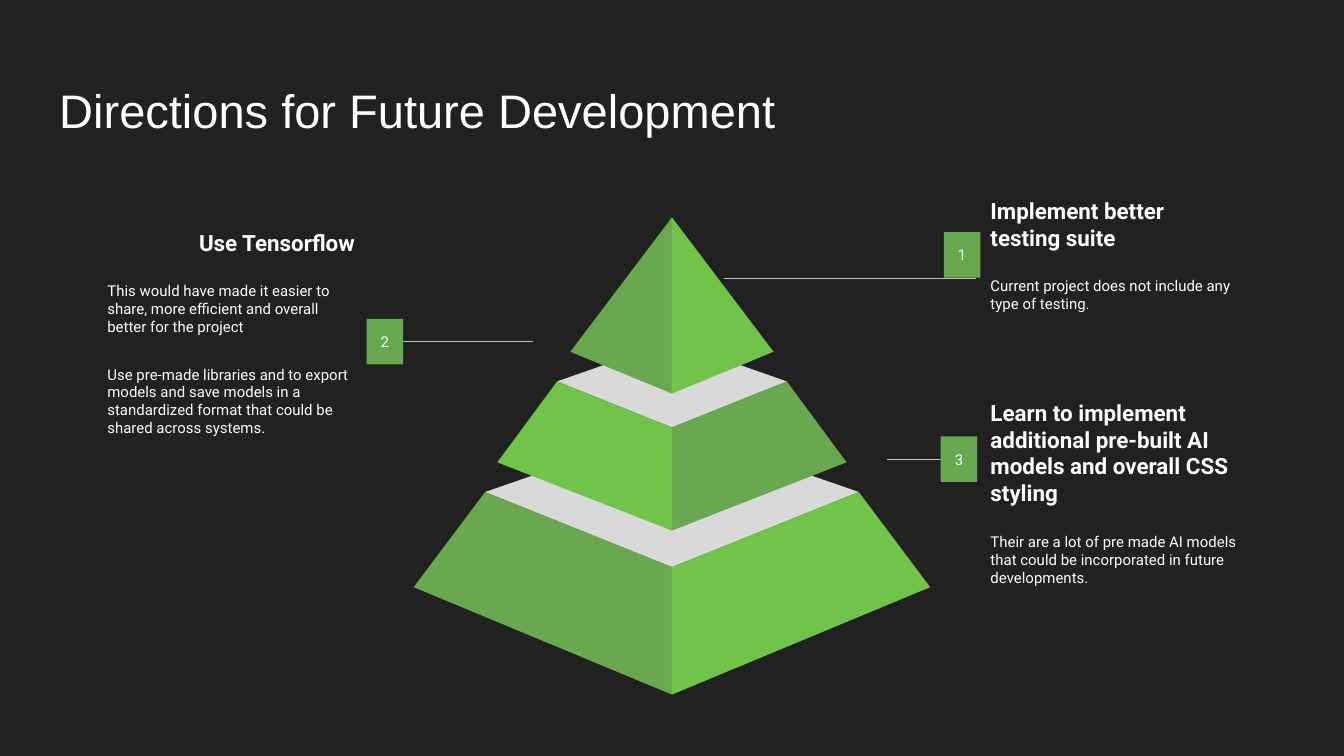
from lxml.etree import SubElement
from pptx import Presentation
from pptx.dml.color import RGBColor
from pptx.enum.shapes import MSO_CONNECTOR, MSO_SHAPE
from pptx.enum.text import MSO_ANCHOR, PP_ALIGN
from pptx.oxml.ns import qn
from pptx.util import Cm, Pt

BACKGROUND = RGBColor(0x21, 0x21, 0x21)
WHITE = RGBColor(0xFF, 0xFF, 0xFF)
LINE_GREY = RGBColor(0xC2, 0xC2, 0xC2)
LID_GREY = RGBColor(0xD9, 0xD9, 0xD9)
DARK_GREEN = RGBColor(0x6A, 0xA8, 0x4F)
LIGHT_GREEN = RGBColor(0x6F, 0xC4, 0x49)

INSET = Cm(0.25)
AXIS = 12.7  # horizontal centre of the pyramid, in cm

presentation = Presentation()
presentation.slide_width = Cm(25.4)
presentation.slide_height = Cm(14.29)
slide = presentation.slides.add_slide(presentation.slide_layouts[6])
slide.background.fill.solid()
slide.background.fill.fore_color.rgb = BACKGROUND


def write(frame, text, size=8, bold=False, font="Roboto", align=PP_ALIGN.LEFT, before=0):
    """Fill the frame's empty first paragraph, or append a new one."""
    paragraph = frame.paragraphs[0]
    if paragraph.runs:
        paragraph = frame.add_paragraph()
    paragraph.alignment = align
    paragraph.space_before = Pt(before)
    run = paragraph.add_run()
    run.text = text
    run.font.size = Pt(size)
    run.font.bold = bold
    run.font.name = font
    run.font.color.rgb = WHITE


def draw_facet(points, color):
    """Draw a closed outline; x is measured from the pyramid's axis."""
    corners = [(Cm(AXIS + x), Cm(y)) for x, y in points]
    builder = slide.shapes.build_freeform(*corners[0])
    builder.add_line_segments(corners[1:], close=True)
    facet = builder.convert_to_shape()
    facet.shadow.inherit = False
    facet.fill.solid()
    facet.fill.fore_color.rgb = color
    facet.line.fill.background()


title = slide.shapes.add_textbox(Cm(0.87), Cm(1.3), Cm(23.67), Cm(1.6)).text_frame
title.word_wrap = True
title.margin_left = title.margin_right = title.margin_top = title.margin_bottom = INSET
write(title, "Directions for Future Development", size=25.2, font="Arial")

# number, heading, heading alignment, details, text corner, badge corner,
# line start, line end, badge side the line joins, extra inset below the text
directions = [
    ("3", "Learn to implement additional pre-built AI models and overall CSS styling",
     PP_ALIGN.LEFT,
     ["Their are a lot of pre made AI models that could be incorporated in future developments."],
     (18.47, 7.39), (17.78, 8.25), (16.76, 8.68), (17.78, 8.68), 1, 0),
    ("2", "Use Tensorflow", PP_ALIGN.RIGHT,
     ["This would have made it easier to share, more efficient and overall better for the project",
      "Use pre-made libraries and to export models and save models in a standardized format "
      "that could be shared across systems."],
     (1.78, 4.55), (6.93, 6.03), (10.08, 6.46), (7.62, 6.46), 3, 0.36),
    ("1", "Implement better testing suite", PP_ALIGN.LEFT,
     ["Current project does not include any type of testing."],
     (18.47, 2.9), (17.84, 4.39), (13.69, 5.26), (18.45, 5.26), None, 0),
]
for (number, heading, heading_align, details, text_at, badge_at,
     line_start, line_end, badge_side, extra_inset) in directions:
    leader = slide.shapes.add_connector(
        MSO_CONNECTOR.STRAIGHT, *map(Cm, line_start), *map(Cm, line_end))
    leader.line.color.rgb = LINE_GREY
    leader.line.width = Pt(0.75)
    SubElement(leader._element.spPr, qn("a:effectLst"))

    description = slide.shapes.add_textbox(*map(Cm, text_at), Cm(5.18), Cm(3.84)).text_frame
    description.word_wrap = True
    description.vertical_anchor = MSO_ANCHOR.MIDDLE
    description.margin_left = description.margin_right = description.margin_top = INSET
    description.margin_bottom = INSET + Cm(extra_inset)
    write(description, heading, size=12, bold=True, align=heading_align)
    for order, detail in enumerate(details):
        write(description, detail, before=16 if order else 14)

    badge = slide.shapes.add_shape(MSO_SHAPE.RECTANGLE, *map(Cm, badge_at), Cm(0.69), Cm(0.86))
    badge.shadow.inherit = False
    badge.fill.solid()
    badge.fill.fore_color.rgb = DARK_GREEN
    badge.line.fill.background()
    digit = badge.text_frame
    digit.margin_left = digit.margin_right = digit.margin_top = digit.margin_bottom = 0
    digit.vertical_anchor = MSO_ANCHOR.MIDDLE
    write(digit, number, align=PP_ALIGN.CENTER)
    if badge_side is not None:
        leader.end_connect(badge, badge_side)

# Tiers from bottom to top: rim half-width and height, front rim height,
# base half-width and height, front base height, back of the lid, side colours
tiers = [
    (3.53, 9.3, 10.72, 4.88, 11.1, 13.13, 8.08, DARK_GREEN, LIGHT_GREEN),
    (2.17, 7.21, 8.08, 3.3, 8.74, 10.03, 6.45, LIGHT_GREEN, DARK_GREEN),
    (0, 4.11, 4.11, 1.92, 6.65, 7.44, None, DARK_GREEN, LIGHT_GREEN),
]
for rim, rim_y, rim_front, base, base_y, base_front, lid_back, left, right in tiers:
    if lid_back is not None:
        draw_facet([(-rim, rim_y), (0, rim_front), (rim, rim_y), (0, lid_back)], LID_GREY)
    for side, color in ((-1, left), (1, right)):
        outline = [(side * rim, rim_y), (side * base, base_y), (0, base_front)]
        if rim:
            outline.append((0, rim_front))
        draw_facet(outline, color)

presentation.save("out.pptx")
